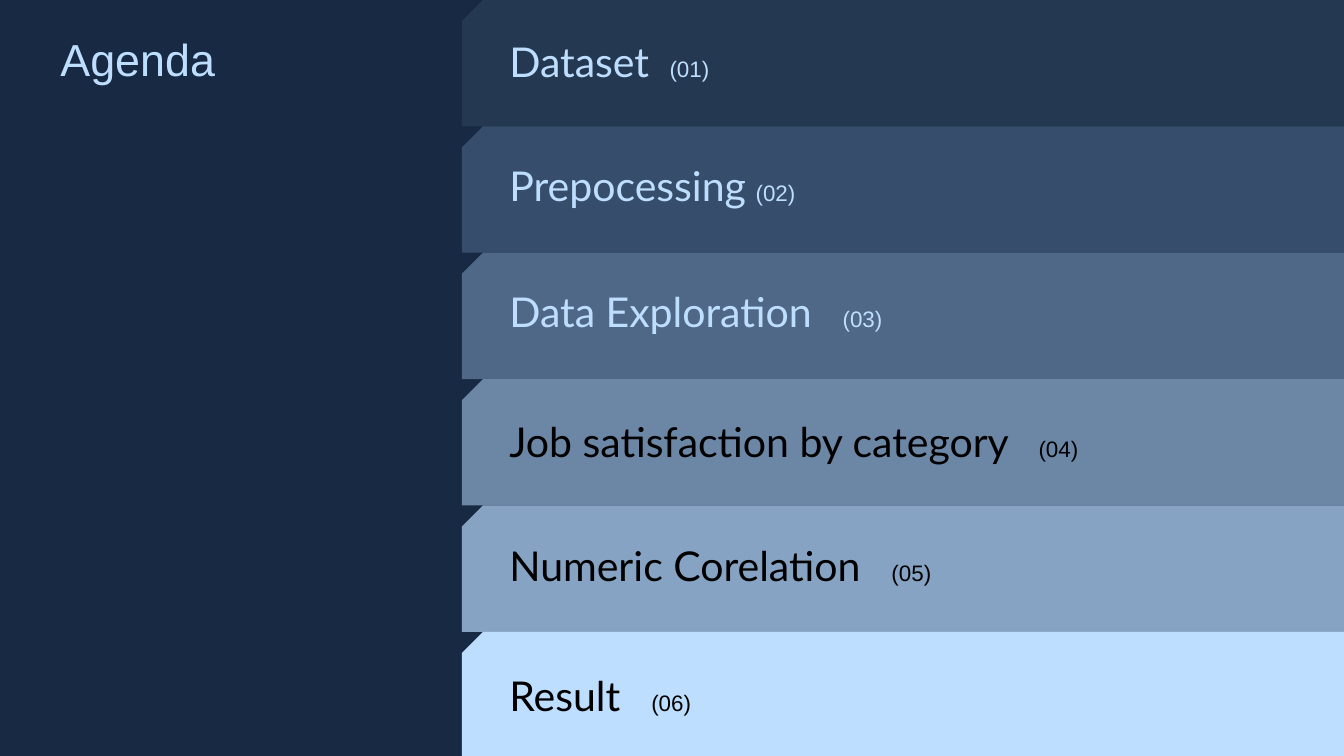
from dataclasses import dataclass

from lxml import etree
from pptx import Presentation
from pptx import util as u
from pptx.dml.color import RGBColor
from pptx.enum import shapes, text
from pptx.oxml import ns


@dataclass(frozen=True)
class Theme:
    background: str = "182A43"
    light: str = "BEDEFF"
    dark: str = "000000"
    heading_font: str = "Arial"
    label_font: str = "Lato"
    title_size: float = 24
    label_size: float = 22
    number_size: float = 12


@dataclass(frozen=True)
class AgendaItem:
    label: str
    band_color: str
    text_color: str
    text_top: float
    number_offset: float


THEME = Theme()
SLIDE_WIDTH, SLIDE_HEIGHT = 720, 405
BAND_LEFT, BAND_HEIGHT = 247.5, 67.7
TEXT_LEFT, TEXT_WIDTH, TEXT_HEIGHT = 272.9, 445.7, 36

ITEMS = [
    AgendaItem("Dataset", "253851", THEME.light, 17.3, 85.8),
    AgendaItem("Prepocessing", "364D6C", THEME.light, 83.5, 131.9),
    AgendaItem("Data Exploration", "4F6887", THEME.light, 151.2, 178.5),
    AgendaItem("Job satisfaction by category", "6C87A6", THEME.dark, 221, 283.5),
    AgendaItem("Numeric Corelation", "86A3C3", THEME.dark, 287.3, 204.7),
    AgendaItem("Result", "BEDEFF", THEME.dark, 357.1, 76),
]


def set_attributes(target, values: dict) -> None:
    for name, value in values.items():
        setattr(target, name, value)


def format_frame(frame, anchor) -> None:
    set_attributes(frame, {
        "margin_left": 0,
        "margin_top": 0,
        "margin_right": u.Pt(7.2),
        "margin_bottom": 0,
        "word_wrap": True,
        "auto_size": text.MSO_AUTO_SIZE.NONE,
        "vertical_anchor": anchor,
    })
    set_attributes(frame.paragraphs[0], {
        "alignment": text.PP_ALIGN.LEFT,
        "line_spacing": 0.8,
    })


def add_run(paragraph, words: str, font: str, size: float, color: str) -> None:
    run = paragraph.add_run()
    run.text = words
    set_attributes(run.font, {"name": font, "size": u.Pt(size), "bold": False})
    run.font.color.rgb = RGBColor.from_string(color)


def add_tab_stop(paragraph, offset: float) -> None:
    properties = paragraph._p.get_or_add_pPr()
    tab_list = etree.SubElement(properties, ns.qn("a:tabLst"))
    etree.SubElement(tab_list, ns.qn("a:tab"), pos=str(int(u.Pt(offset))), algn="l")


def format_title(title) -> None:
    set_attributes(title, {
        "left": u.Pt(32.4),
        "top": u.Pt(22.3),
        "width": u.Pt(170),
        "height": u.Pt(36),
    })
    format_frame(title.text_frame, text.MSO_ANCHOR.TOP)
    add_run(title.text_frame.paragraphs[0], "Agenda",
            THEME.heading_font, THEME.title_size, THEME.light)


def add_band(slide, index: int, item: AgendaItem) -> None:
    shape = slide.shapes.add_shape(
        shapes.MSO_SHAPE.SNIP_1_RECTANGLE,
        u.Pt(BAND_LEFT), u.Pt(index * BAND_HEIGHT),
        u.Pt(SLIDE_WIDTH - BAND_LEFT), u.Pt(BAND_HEIGHT),
    )
    shape.adjustments[0] = 0.167
    shape.element.spPr.find(ns.qn("a:xfrm")).set("flipH", "1")
    shape.fill.solid()
    shape.fill.fore_color.rgb = RGBColor.from_string(item.band_color)
    shape.line.fill.background()
    shape.shadow.inherit = False


def add_label(slide, number: int, item: AgendaItem) -> None:
    box = slide.shapes.add_textbox(
        u.Pt(TEXT_LEFT), u.Pt(item.text_top), u.Pt(TEXT_WIDTH), u.Pt(TEXT_HEIGHT)
    )
    format_frame(box.text_frame, text.MSO_ANCHOR.MIDDLE)
    paragraph = box.text_frame.paragraphs[0]
    add_tab_stop(paragraph, item.number_offset)
    add_run(paragraph, f"{item.label}\t", THEME.label_font, THEME.label_size, item.text_color)
    add_run(paragraph, f"({number:02d})", THEME.heading_font, THEME.number_size, item.text_color)


def main() -> None:
    presentation = Presentation()
    set_attributes(presentation, {
        "slide_width": u.Pt(SLIDE_WIDTH),
        "slide_height": u.Pt(SLIDE_HEIGHT),
    })
    slide = presentation.slides.add_slide(presentation.slide_layouts[5])
    slide.background.fill.solid()
    slide.background.fill.fore_color.rgb = RGBColor.from_string(THEME.background)
    format_title(slide.shapes.title)
    for index, item in enumerate(ITEMS):
        add_band(slide, index, item)
        add_label(slide, index + 1, item)
    presentation.save("out.pptx")


if __name__ == "__main__":
    main()
